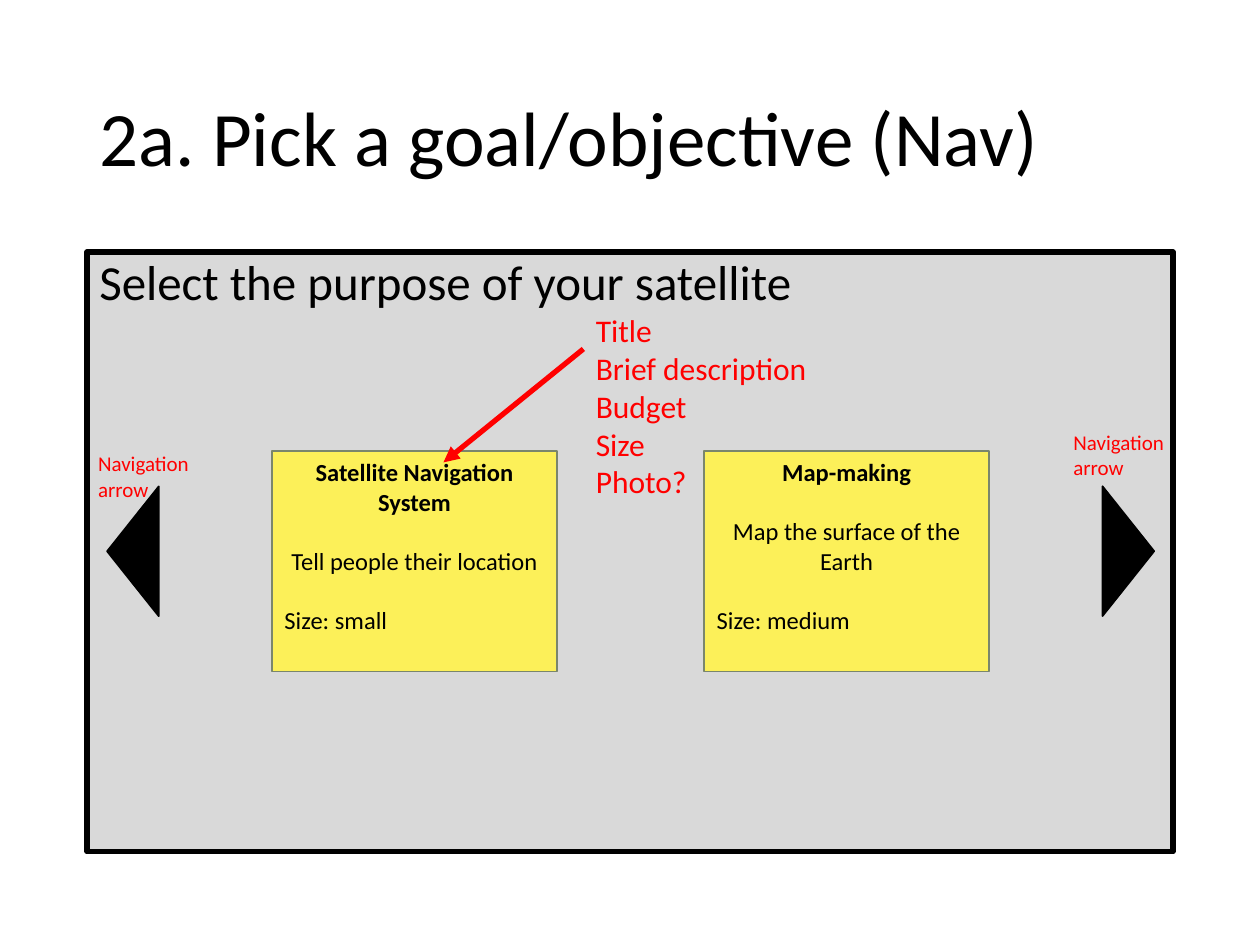
from lxml.etree import SubElement
from pptx import Presentation
from pptx.dml.color import RGBColor
from pptx.enum.shapes import MSO_CONNECTOR as Conn, MSO_SHAPE as Shape
from pptx.enum.text import MSO_ANCHOR as Anchor, PP_ALIGN as Align
from pptx.oxml.ns import qn
from pptx.util import Inches, Pt

HUES = {"ink": "000000", "panel": "D9D9D9", "card": "FCF059",
        "edge": "7A866C", "note": "FF0000"}


def hue(name):
    return RGBColor.from_string(HUES[name])


def put_text(frame, lines, size, color="ink", anchor=Anchor.TOP):
    """Fill a frame with (text, paragraph format, font format) lines."""
    frame.word_wrap = True
    frame.vertical_anchor = anchor
    for i, (text, form, style) in enumerate(lines):
        para = frame.paragraphs[0] if i == 0 else frame.add_paragraph()
        run = para.add_run()
        run.text = text
        for key, value in {"alignment": Align.LEFT, **form}.items():
            setattr(para, key, value)
        font = {"name": "Calibri", "size": Pt(size), "bold": False, **style}
        for key, value in font.items():
            setattr(run.font, key, value)
        run.font.color.rgb = hue(color)


def add_box(slide, kind, area, fill, edge, width, turn=0):
    box = slide.shapes.add_shape(kind, *map(Inches, area))
    box.shadow.inherit = False
    box.rotation = turn
    box.fill.solid()
    box.fill.fore_color.rgb = hue(fill)
    box.line.color.rgb = hue(edge)
    box.line.width = Pt(width)
    return box


def add_card(slide, left, title, about, size):
    card = add_box(slide, Shape.RECTANGLE, (left, 3.58, 2.26, 1.75),
                   "card", "edge", 1)
    gap = {"space_before": Pt(17)}
    mid = {"alignment": Align.CENTER}
    put_text(card.text_frame, [(title, mid, {"bold": True}),
                               (about, {**mid, **gap}, {}),
                               (f"Size: {size}", gap, {})], 14)


def add_note(slide, area, lines, size):
    note = slide.shapes.add_textbox(*map(Inches, area))
    put_text(note.text_frame, [(line, {}, {}) for line in lines], size, "note")


def add_arrow(slide, start, end):
    arrow = slide.shapes.add_connector(Conn.STRAIGHT,
                                       *map(Inches, start + end))
    arrow.line.color.rgb = hue("note")
    arrow.line.width = Pt(3)
    SubElement(arrow.line._get_or_add_ln(), qn("a:tailEnd"), type="triangle")
    SubElement(arrow._element.spPr, qn("a:effectLst"))


def main():
    deck = Presentation()
    deck.slide_width, deck.slide_height = Inches(10), Inches(7.5)
    slide = deck.slides.add_slide(deck.slide_layouts[5])

    # Title
    title = slide.shapes.title
    title.left, title.top = Inches(0.69), Inches(0.4)
    title.width, title.height = Inches(8.62), Inches(1.45)
    tight = {"line_spacing": 0.9}
    put_text(title.text_frame, [("2a. Pick a goal/objective (Nav)", tight, {})],
             44, anchor=Anchor.MIDDLE)

    # Screen panel
    panel = add_box(slide, Shape.RECTANGLE, (0.69, 2, 8.62, 4.76),
                    "panel", "ink", 3)
    put_text(panel.text_frame,
             [("Select the purpose of your satellite", tight, {})], 28)

    # Goal cards
    add_card(slide, 5.59, "Map-making", "Map the surface of the Earth",
             "medium")
    add_card(slide, 2.16, "Satellite Navigation System",
             "Tell people their location", "small")

    # Navigation arrows
    for left, turn in ((8.44, 90), (0.54, 270)):
        add_box(slide, Shape.ISOSCELES_TRIANGLE, (left, 4.17, 1.03, 0.41),
                "ink", "ink", 1, turn)

    # Red notes
    add_arrow(slide, (4.63, 2.77), (3.52, 3.67))
    add_note(slide, (4.63, 2.42, 2.02, 1.62),
             ["Title", "Brief description", "Budget", "Size", "Photo?"], 18)
    for area in ((8.42, 3.36, 0.99, 0.5), (0.68, 3.53, 0.94, 0.5)):
        add_note(slide, area, ["Navigation arrow"], 12)

    deck.save("out.pptx")


if __name__ == "__main__":
    main()
